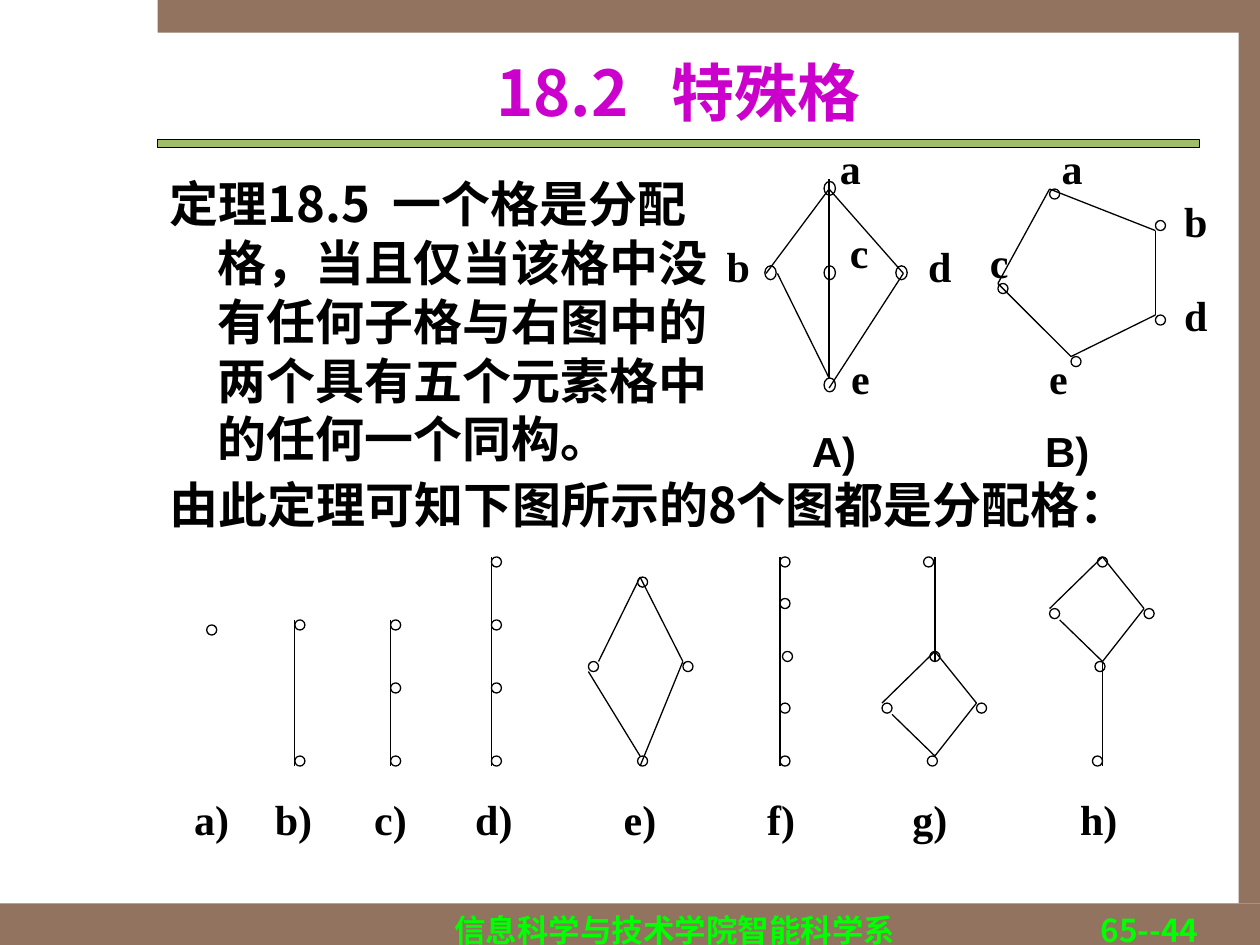
import pptx
import pptx.dml.color
import pptx.enum.shapes
import pptx.enum.text
import pptx.oxml.ns
import pptx.util
from lxml import etree
from pptx.util import Inches

ALIGN = pptx.enum.text.PP_ALIGN
ANCHOR = pptx.enum.text.MSO_ANCHOR
SHAPE = pptx.enum.shapes.MSO_SHAPE
SANS = "Noto Sans CJK SC"
SERIF = "Times New Roman"
BROWN = "91735F"
BLACK = "000000"
GREEN = "00FF00"
NODE = 0.08
CHAIN_BOTTOM = 6.08

FRAME = [(0, 7.17, 10, 0.33), (1.25, 0, 8.75, 0.26), (9.83, 0.25, 0.17, 6.92)]

DIAMOND_NODES = [(6.54, 1.44), (6.07, 2.11), (6.54, 2.11), (7.11, 2.11), (6.54, 3)]
DIAMOND_EDGES = [
    (6.58, 1.5, 6.08, 2.17), (6.58, 3, 6.17, 2.17), (6.58, 3.08, 7.17, 2.17),
    (6.58, 3, 6.58, 1.42), (7.17, 2.17, 6.58, 1.5),
]
PENTAGON_NODES = [(8.33, 1.5), (7.92, 2.25), (9.17, 1.75), (8.5, 2.83), (9.17, 2.5)]
PENTAGON_CORNERS = [(8.33, 1.5), (7.92, 2.25), (8.5, 2.83), (9.17, 2.5), (9.17, 1.83)]
VERTEX_LABELS = [
    ("a", 6.75, 1.08), ("b", 5.86, 1.86), ("c", 6.82, 1.75), ("d", 7.46, 1.86),
    ("e", 6.83, 2.75), ("a", 8.51, 1.08), ("c", 7.93, 1.83), ("e", 8.4, 2.75),
    ("d", 9.49, 2.25), ("b", 9.49, 1.5),
]
LATTICE_LABELS = [("Α)", 6.62), ("Β)", 8.47)]
EXAMPLE_LABELS = [
    ("a)", 1.68), ("b)", 2.33), ("c)", 3.1), ("d)", 3.92),
    ("e)", 5.08), ("f)", 6.2), ("g)", 7.38), ("h)", 8.72),
]
CHAINS = [
    (2.34, 4.92, [4.92, 6]),
    (3.1, 4.92, [4.92, 5.42, 6]),
    (3.9, 4.42, [4.42, 4.92, 5.42, 6]),
    (6.19, 4.42, [4.42, 4.75, 5.58, 6]),
]
RHOMBUS_NODES = [(4.67, 5.25), (5.42, 5.25), (5.06, 4.58), (5.06, 6)]
RHOMBUS_EDGES = [
    (5.08, 4.58, 4.75, 5.25), (5.42, 5.25, 5.08, 6.08),
    (4.67, 5.33, 5.08, 6), (5.08, 4.58, 5.42, 5.25),
]
SQUARE_NODES = [(0.33, 0.41), (-0.42, 0.41), (-0.04, 0), (-0.06, 0.83)]
SQUARE_EDGES = [
    (0, 0, -0.42, 0.41), (0.33, 0.41, 0, 0.83),
    (-0.34, 0.5, 0, 0.83), (0, 0, 0.33, 0.41),
]


def color(value):
    return pptx.dml.color.RGBColor.from_string(value)


def write_text(shape, text, *, size, font=SANS, fill=BLACK, align=ALIGN.LEFT,
               anchor=ANCHOR.TOP, wrap=True, spacing=None, hanging=0):
    frame = shape.text_frame
    frame.auto_size = pptx.enum.text.MSO_AUTO_SIZE.NONE
    frame.word_wrap = wrap
    frame.vertical_anchor = anchor
    paragraph = frame.paragraphs[0]
    paragraph.alignment = align
    if spacing:
        paragraph.line_spacing = pptx.util.Pt(spacing)
    if hanging:
        properties = paragraph._p.get_or_add_pPr()
        properties.set("marL", str(Inches(hanging)))
        properties.set("indent", str(-Inches(hanging)))
    run = paragraph.add_run()
    run.text = text
    run.font.size = pptx.util.Pt(size)
    run.font.bold = True
    run.font.color.rgb = color(fill)
    run.font.name = font
    east_asian = etree.SubElement(run._r.get_or_add_rPr(), pptx.oxml.ns.qn("a:ea"))
    east_asian.set("typeface", font)


def add_text(slide, text, left, top, width, height, **text_format):
    shape = slide.shapes.add_textbox(
        Inches(left), Inches(top), Inches(width), Inches(height))
    write_text(shape, text, **text_format)


def add_label(slide, text, center, top, font=SERIF):
    add_text(slide, text, center - 0.25, top, 0.5, 0.5, size=24, font=font,
             align=ALIGN.CENTER, anchor=ANCHOR.MIDDLE, wrap=False)


def add_preset(slide, kind, left, top, width, height, fill=None, line=None):
    shape = slide.shapes.add_shape(
        kind, Inches(left), Inches(top), Inches(width), Inches(height))
    shape.shadow.inherit = False
    if fill:
        shape.fill.solid()
        shape.fill.fore_color.rgb = color(fill)
    else:
        shape.fill.background()
    if line:
        shape.line.color.rgb = color(line)
        shape.line.width = pptx.util.Pt(0.75)
    else:
        shape.line.fill.background()


def add_node(slide, left, top, width=NODE, height=NODE):
    add_preset(slide, SHAPE.OVAL, left, top, width, height, line=BLACK)


def add_edge(slide, *ends):
    connector = slide.shapes.add_connector(
        pptx.enum.shapes.MSO_CONNECTOR.STRAIGHT, *map(Inches, ends))
    connector.line.color.rgb = color(BLACK)
    connector.line.width = pptx.util.Pt(0.75)
    etree.SubElement(connector._element.spPr, pptx.oxml.ns.qn("a:effectLst"))


def add_graph(slide, nodes, edges, x=0, y=0, **node_size):
    for left, top in nodes:
        add_node(slide, x + left, y + top, **node_size)
    for x1, y1, x2, y2 in edges:
        add_edge(slide, x + x1, y + y1, x + x2, y + y2)


def add_frame(slide):
    for box in FRAME:
        add_preset(slide, SHAPE.RECTANGLE, *box, fill=BROWN)
    add_preset(slide, SHAPE.RECTANGLE, 1.25, 1.11, 8.27, 0.06, fill="A1BD69", line=BLACK)
    footer = dict(size=18, fill=GREEN, spacing=21.6)
    add_text(slide, "信息科学与技术学院智能科学系", 3.19, 7.18, 4.33, 0.18,
             align=ALIGN.CENTER, **footer)
    add_text(slide, "65--44", 7.53, 7.18, 2.08, 0.18, align=ALIGN.RIGHT, **footer)


def add_title(slide):
    title = slide.shapes.title
    title.left, title.top = Inches(1.25), Inches(0.33)
    title.width, title.height = Inches(8.27), Inches(0.79)
    write_text(title, "18.2   特殊格", size=36, fill="CC00CC",
               align=ALIGN.CENTER, anchor=ANCHOR.MIDDLE)


def add_theorem(slide):
    add_text(slide, "由此定理可知下图所示的8个图都是分配格：", 1.25, 3.72, 8.5, 0.57,
             size=28, spacing=33.6)
    add_text(slide, "定理18.5  一个格是分配格，当且仅当该格中没有任何子格与右图中的"
             "两个具有五个元素格中的任何一个同构。", 1.25, 1.33, 4.59, 2.44,
             size=28, spacing=33.6, hanging=0.38)


def add_forbidden_lattices(slide):
    add_graph(slide, DIAMOND_NODES, DIAMOND_EDGES, width=0.09, height=0.11)
    next_corners = PENTAGON_CORNERS[1:] + PENTAGON_CORNERS[:1]
    sides = [start + end for start, end in zip(PENTAGON_CORNERS, next_corners)]
    add_graph(slide, PENTAGON_NODES, sides)
    for text, center, top in VERTEX_LABELS:
        add_label(slide, text, center, top)
    for text, center in LATTICE_LABELS:
        add_label(slide, text, center, 3.33, font="Arial")


def add_examples(slide):
    add_node(slide, 1.64, 4.96)
    for x, top, node_tops in CHAINS:
        add_graph(slide, [(x, y) for y in node_tops], [(x, top, x, CHAIN_BOTTOM)])
    add_node(slide, 6.21, 5.17)
    add_graph(slide, RHOMBUS_NODES, RHOMBUS_EDGES)
    add_graph(slide, SQUARE_NODES, SQUARE_EDGES, x=7.42, y=5.17)
    add_graph(slide, [(7.33, 4.42)], [(7.42, 4.42, 7.42, 5.25)])
    add_graph(slide, SQUARE_NODES, SQUARE_EDGES, x=8.75, y=4.42)
    add_graph(slide, [(8.67, 6)], [(8.75, 5.25, 8.75, CHAIN_BOTTOM)])
    for text, center in EXAMPLE_LABELS:
        add_label(slide, text, center, 6.25)


def main():
    presentation = pptx.Presentation()
    presentation.slide_width = Inches(10)
    presentation.slide_height = Inches(7.5)
    slide = presentation.slides.add_slide(presentation.slide_layouts[5])
    add_frame(slide)
    add_title(slide)
    add_theorem(slide)
    add_forbidden_lattices(slide)
    add_examples(slide)
    presentation.save("out.pptx")


if __name__ == "__main__":
    main()
